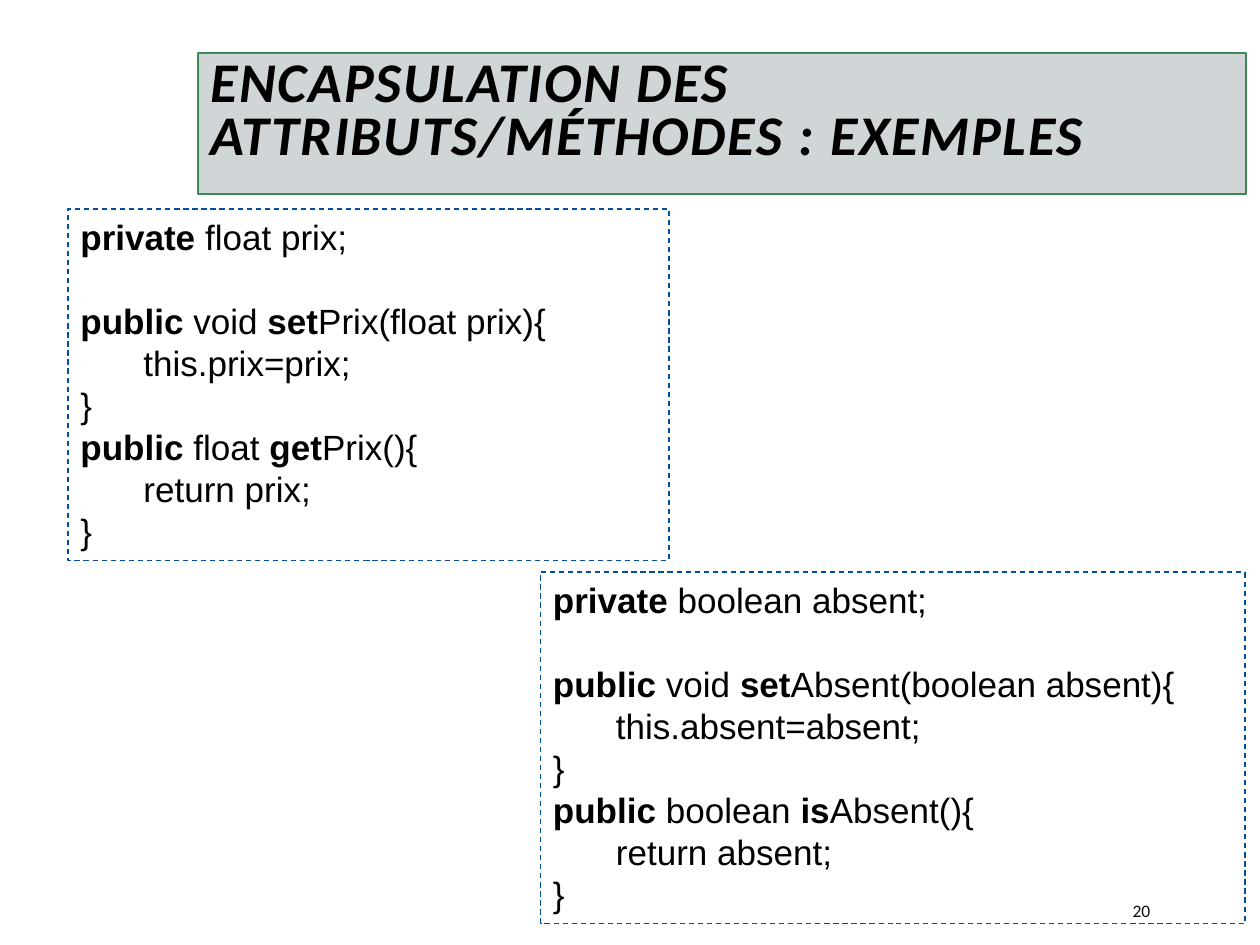
from lxml.etree import SubElement
from pptx import Presentation
from pptx.dml.color import RGBColor
from pptx.enum.dml import MSO_LINE
from pptx.enum.shapes import MSO_SHAPE
from pptx.enum.text import MSO_ANCHOR, PP_ALIGN
from pptx.oxml.ns import qn
from pptx.util import Inches, Pt

BLACK = RGBColor(0x00, 0x00, 0x00)
NEAR_BLACK = RGBColor(0x0D, 0x0D, 0x0D)
SLATE = RGBColor(0x65, 0x75, 0x7D)
GREEN = RGBColor(0x3E, 0x88, 0x53)
BLUE = RGBColor(0x02, 0x51, 0x98)

# Content: runs alternate bold and regular, starting with bold
TITLE = "ENCAPSULATION DES ATTRIBUTS/MÉTHODES : EXEMPLES"
PAGE_NUMBER = "20"
CODE_BOXES = [
    ((0.54, 1.66, 4.77, 2.79), [
        ("private ", "float prix;"),
        ("public ", "void ", "set", "Prix(float prix){"),
        ("", "\tthis.prix=prix;"),
        ("", "}"),
        ("public ", "float ", "get", "Prix(){"),
        ("", "\treturn prix;"),
        ("", "}"),
    ]),
    ((4.29, 4.54, 5.59, 2.79), [
        ("private ", "boolean absent;"),
        ("public ", "void ", "set", "Absent(boolean absent){"),
        ("", "\tthis.absent=absent;"),
        ("", "}"),
        ("public ", "boolean ", "is", "Absent(){"),
        ("", "\treturn absent;"),
        ("", "}"),
    ]),
]
LINE_HEIGHT = Pt(24)
FIRST_METHOD = 1  # line set apart from the field declaration


def set_font(run, name, size, color, bold=False, italic=False):
    font = run.font
    font.name, font.size = name, Pt(size)
    font.bold, font.italic = bold, italic
    font.color.rgb = color


def add_box(slide, position, line_color, line_width):
    shape = slide.shapes.add_shape(MSO_SHAPE.RECTANGLE, *map(Inches, position))
    shape.shadow.inherit = False
    shape.fill.background()
    shape.line.color.rgb = line_color
    shape.line.width = Pt(line_width)
    shape.text_frame.word_wrap = True
    shape.text_frame.vertical_anchor = MSO_ANCHOR.TOP
    return shape


def add_title(slide):
    shape = add_box(slide, (1.57, 0.42, 8.32, 1.12), GREEN, 1.25)
    shape.fill.solid()
    shape.fill.fore_color.rgb = SLATE
    color = shape.fill._xPr.find(".//" + qn("a:srgbClr"))
    SubElement(color, qn("a:alpha"), val="30000")
    shape.text_frame.text = TITLE
    paragraph = shape.text_frame.paragraphs[0]
    paragraph.alignment = PP_ALIGN.LEFT
    paragraph.line_spacing = 0.8
    run = paragraph.runs[0]
    set_font(run, "Calibri", 32, BLACK, bold=True, italic=True)
    run.font._element.set("spc", "100")


def add_code_box(slide, position, lines):
    shape = add_box(slide, position, BLUE, 0.75)
    shape.line.dash_style = MSO_LINE.DASH
    text_frame = shape.text_frame
    for index, parts in enumerate(lines):
        paragraph = text_frame.add_paragraph() if index else text_frame.paragraphs[0]
        paragraph.alignment = PP_ALIGN.LEFT
        paragraph.line_spacing = LINE_HEIGHT
        if index == FIRST_METHOD:
            paragraph.space_before = LINE_HEIGHT
        paragraph._p.get_or_add_pPr().set("defTabSz", str(Inches(0.5)))
        for part_index, part in enumerate(parts):
            if part:
                run = paragraph.add_run()
                run.text = part
                set_font(run, "Arial", 20, BLACK, bold=part_index % 2 == 0)


def add_page_number(slide):
    box = slide.shapes.add_textbox(*map(Inches, (8.89, 7.08, 0.8, 0.3)))
    text_frame = box.text_frame
    text_frame.word_wrap = True
    text_frame.vertical_anchor = MSO_ANCHOR.MIDDLE
    text_frame.text = PAGE_NUMBER
    set_font(text_frame.paragraphs[0].runs[0], "Calibri", 10, NEAR_BLACK)


def main():
    presentation = Presentation()
    presentation.slide_width = Inches(10)
    presentation.slide_height = Inches(7.5)
    slide = presentation.slides.add_slide(presentation.slide_layouts[6])
    add_title(slide)
    add_page_number(slide)
    for position, lines in CODE_BOXES:
        add_code_box(slide, position, lines)
    presentation.save("out.pptx")


if __name__ == "__main__":
    main()
